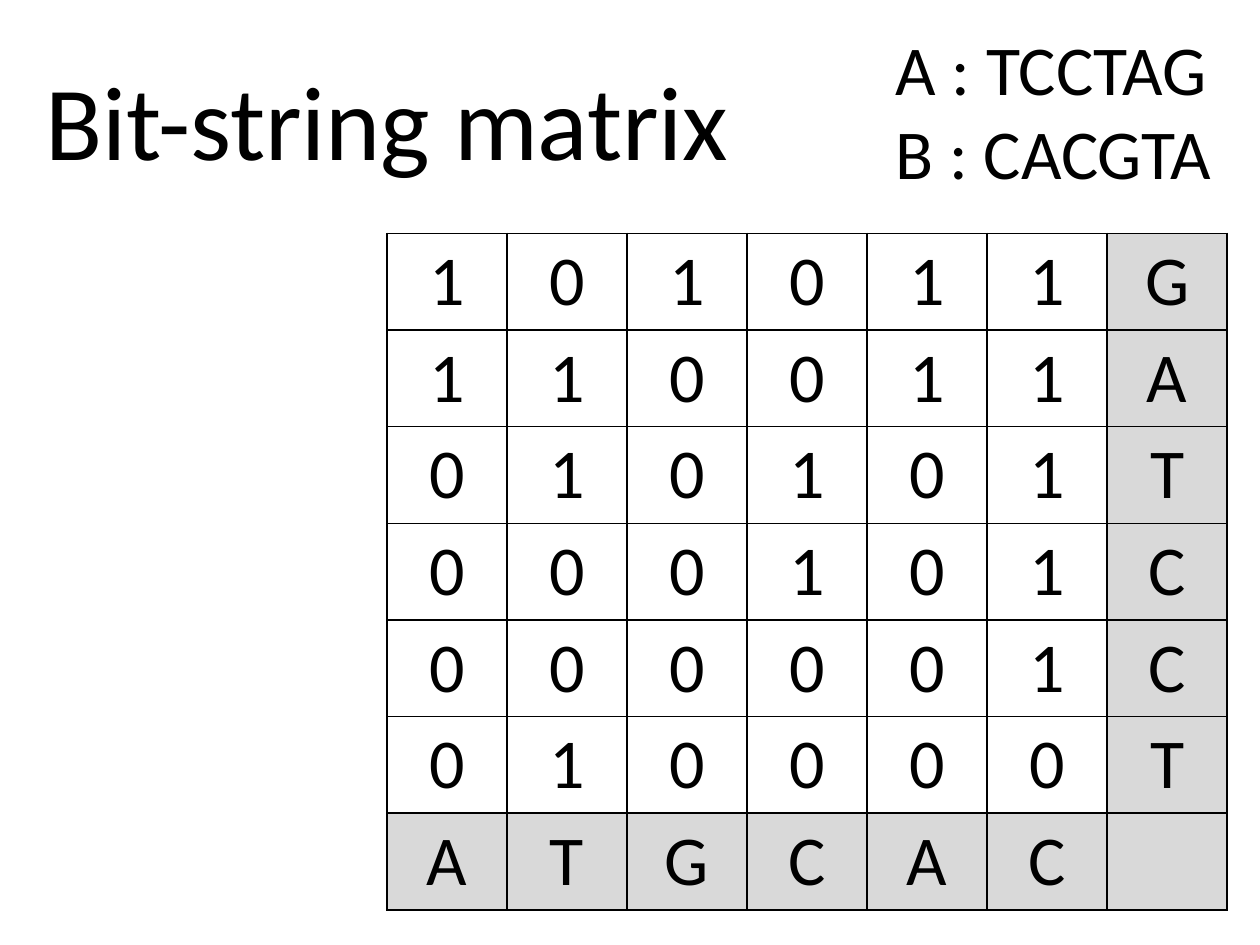
from typing import NamedTuple

from lxml.etree import SubElement as Sub
from pptx import Presentation
from pptx.dml.color import RGBColor
from pptx.enum.text import MSO_ANCHOR as Anchor, PP_ALIGN as Align
from pptx.oxml.ns import qn
from pptx.util import Inches, Pt

WIDE, HIGH = 10, 7.5
INK, GREY = "000000", "D9D9D9"
ROWS = ["101011G", "110011A", "010101T", "000101C", "000001C", "010000T", "ATGCAC"]
SIZE = len(ROWS)


class Box(NamedTuple):
    left: float
    top: float
    wide: float
    high: float

    def place(self) -> list[int]:
        spans = (WIDE, HIGH, WIDE, HIGH)
        return [Inches(part * span) for part, span in zip(self, spans)]


class Label(NamedTuple):
    box: Box
    lines: list[str]
    size: int
    frame: dict
    para: dict


def paint(hue: str) -> RGBColor:
    return RGBColor.from_string(hue)


def apply(item, traits: dict) -> None:
    for name, value in traits.items():
        setattr(item, name, value)


def write(frame, lines: list[str], size: int, traits: dict) -> None:
    for i, line in enumerate(lines):
        para = frame.paragraphs[0] if i == 0 else frame.add_paragraph()
        para.text = line
        apply(para, traits)
        apply(para.font, {"name": "Calibri", "size": Pt(size)})
        para.font.color.rgb = paint(INK)


def label(slide, item: Label) -> None:
    frame = slide.shapes.add_textbox(*item.box.place()).text_frame
    apply(frame, {"word_wrap": True, **item.frame})
    write(frame, item.lines, item.size, item.para)


def edge(cell) -> None:
    props = cell._tc.get_or_add_tcPr()
    for side in ("lnL", "lnR", "lnT", "lnB"):
        line = Sub(props, qn(f"a:{side}"), w=str(Pt(1)))
        fill = Sub(line, qn("a:solidFill"))
        Sub(fill, qn("a:srgbClr"), val=INK)


def matrix(slide, box: Box) -> None:
    grid = slide.shapes.add_table(SIZE, SIZE, *box.place()).table
    apply(grid, {"first_row": False, "horz_banding": False})
    pad = Inches(0.04)
    look = {"margin_top": pad, "margin_bottom": pad, "vertical_anchor": Anchor.MIDDLE}
    for r, row in enumerate(ROWS):
        for c, mark in enumerate(row.ljust(SIZE)):
            cell = grid.cell(r, c)
            apply(cell, look)
            edge(cell)
            if SIZE - 1 in (r, c):
                cell.fill.solid()
                cell.fill.fore_color.rgb = paint(GREY)
            else:
                cell.fill.background()
            write(cell.text_frame, [mark.strip()], 40, {"alignment": Align.CENTER})


LABELS = [
    Label(Box(0.026, 0.037, 0.575, 0.193), ["Bit-string matrix"], 60,
          {"vertical_anchor": Anchor.MIDDLE}, {"line_spacing": 0.9}),
    Label(Box(0.701, 0.02, 0.274, 0.193), ["A : TCCTAG", "B : CACGTA"], 40, {}, {}),
]


def main() -> None:
    deck = Presentation()
    apply(deck, {"slide_width": Inches(WIDE), "slide_height": Inches(HIGH)})
    slide = deck.slides.add_slide(deck.slide_layouts[6])
    for item in LABELS:
        label(slide, item)
    matrix(slide, Box(0.307, 0.247, 0.667, 0.716))
    deck.save("out.pptx")


if __name__ == "__main__":
    main()
